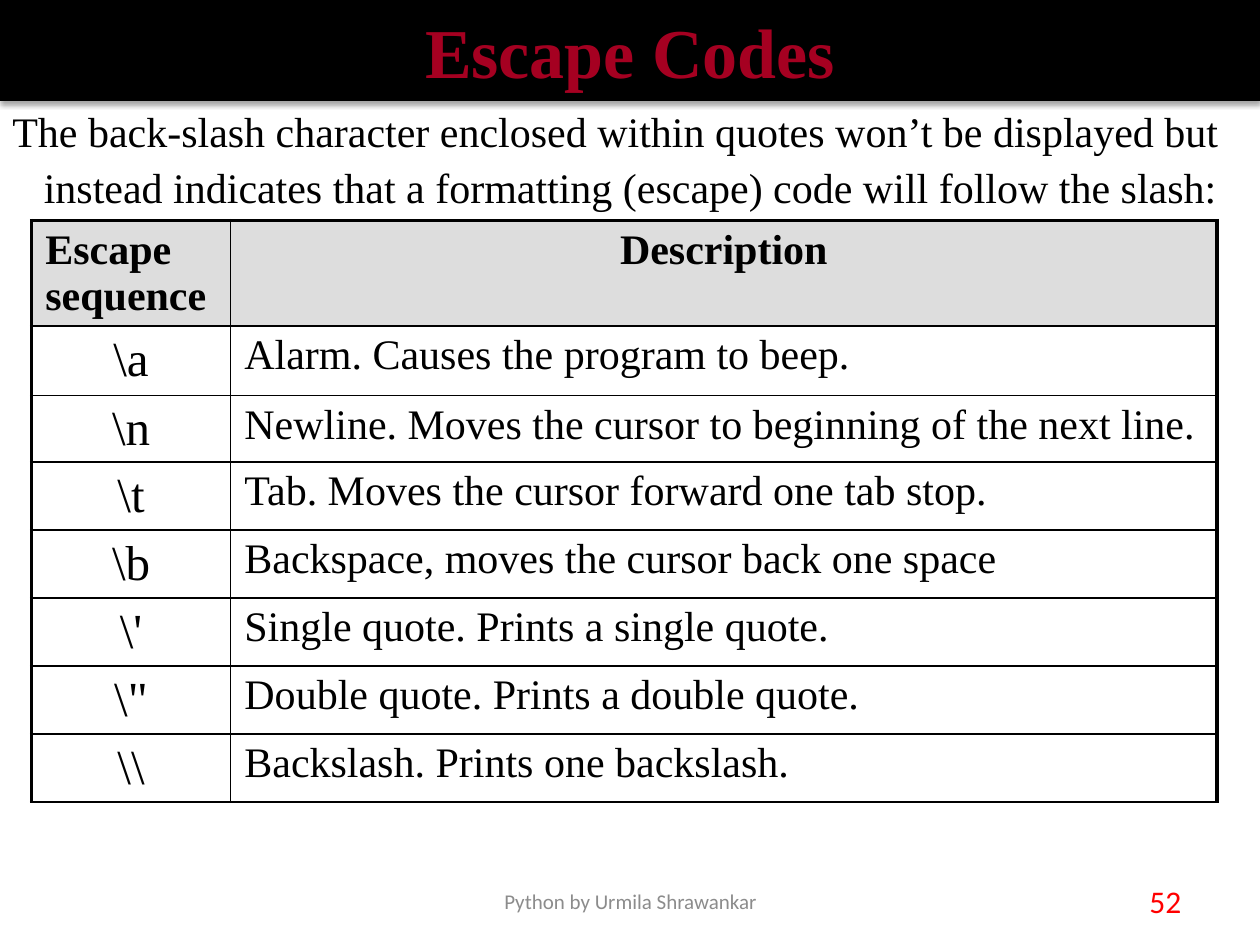
from lxml.etree import SubElement
from pptx import Presentation
from pptx.dml.color import RGBColor
from pptx.enum.text import MSO_ANCHOR, MSO_AUTO_SIZE, PP_ALIGN
from pptx.oxml import parse_xml
from pptx.oxml.ns import nsdecls, qn
from pptx.util import Inches, Pt

BLACK = RGBColor(0x00, 0x00, 0x00)
CRIMSON = RGBColor(0xA5, 0x00, 0x21)
RED = RGBColor(0xFF, 0x00, 0x00)
GRAY = RGBColor(0x8C, 0x8C, 0x8C)
HEADER_GRAY = RGBColor(0xDD, 0xDD, 0xDD)
SERIF = "Times New Roman"
SANS = "Calibri"


def write_text(text_frame, text, name, size, color, bold=False, align=PP_ALIGN.LEFT):
    text_frame.word_wrap = True
    paragraph = text_frame.paragraphs[0]
    paragraph.alignment = align
    run = paragraph.add_run()
    run.text = text
    formats = {"name": name, "size": Pt(size), "bold": bold}
    for attribute, value in formats.items():
        setattr(run.font, attribute, value)
    run.font.color.rgb = color
    return paragraph


def set_borders(cell, widths):
    properties = cell._tc.get_or_add_tcPr()
    for side, width in widths.items():
        line = SubElement(properties, qn(f"a:ln{side}"), w=str(Pt(width)))
        fill = SubElement(line, qn("a:solidFill"))
        SubElement(fill, qn("a:srgbClr"), val=str(BLACK))


presentation = Presentation()
presentation.slide_width = Inches(10)
presentation.slide_height = Inches(7.5)
slide = presentation.slides.add_slide(presentation.slide_layouts[5])

# Title band with a soft shadow
title = slide.shapes.title
placement = {"left": 0, "top": 0, "width": 10, "height": 0.8}
for attribute, value in placement.items():
    setattr(title, attribute, Inches(value))
title.fill.solid()
title.fill.fore_color.rgb = BLACK
title.text_frame.vertical_anchor = MSO_ANCHOR.MIDDLE
title.text_frame.auto_size = MSO_AUTO_SIZE.NONE
write_text(title.text_frame, "Escape Codes", SERIF, 40, CRIMSON, True, PP_ALIGN.CENTER)
title._element.spPr.append(parse_xml(
    f'<a:effectLst {nsdecls("a")}>'
    f'<a:outerShdw blurRad="{Pt(3.1)}" dist="{Pt(1.8)}" dir="5400000" rotWithShape="0">'
    '<a:srgbClr val="000000"><a:alpha val="35000"/></a:srgbClr>'
    '</a:outerShdw></a:effectLst>'))

# Table of escape sequences
rows = [
    ("Escape sequence", "Description"),
    ("\\a", "Alarm. Causes the program to beep."),
    ("\\n", "Newline. Moves the cursor to beginning of the next line."),
    ("\\t", "Tab. Moves the cursor forward one tab stop."),
    ("\\b", "Backspace, moves the cursor back one space"),
    ("\\'", "Single quote. Prints a single quote."),
    ('\\"', "Double quote. Prints a double quote."),
    ("\\\\", "Backslash. Prints one backslash."),
]
table = slide.shapes.add_table(
    len(rows), 2, Inches(0.25), Inches(1.75), Inches(9.41), Inches(4.32)).table
table.first_row = False
table.horz_banding = False
for column, width in zip(table.columns, (1.58, 7.83)):
    column.width = Inches(width)
for row, height in zip(table.rows, [0.55, 0.55, 0.53] + [0.54] * 5):
    row.height = Inches(height)

margins = {"margin_left": 0.11, "margin_right": 0.11, "margin_top": 0.05, "margin_bottom": 0.05}
for row_index, texts in enumerate(rows):
    header = row_index == 0
    for column_index, text in enumerate(texts):
        cell = table.cell(row_index, column_index)
        first_column = column_index == 0
        set_borders(cell, {
            "L": 2.25 if first_column else 1,
            "R": 1 if first_column else 2.25,
            "T": 2.25 if header else 1,
            "B": 1,
        })
        if header:
            cell.fill.solid()
            cell.fill.fore_color.rgb = HEADER_GRAY
        else:
            cell.fill.background()
        for attribute, value in margins.items():
            setattr(cell, attribute, Inches(value))
        # Codes and the description heading are centred
        align = PP_ALIGN.CENTER if header != first_column else PP_ALIGN.LEFT
        size = 28 if first_column and not header else 24
        write_text(cell.text_frame, text, SERIF, size, BLACK, header, align)

# Introduction with a hanging indent
intro = slide.shapes.add_textbox(Inches(0), Inches(0.75), Inches(10), Inches(0.91))
paragraph = write_text(
    intro.text_frame,
    "The back-slash character enclosed within quotes won’t be displayed but "
    "instead indicates that a formatting (escape) code will follow the slash:",
    SERIF, 24, BLACK)
intro.text_frame.auto_size = MSO_AUTO_SIZE.SHAPE_TO_FIT_TEXT
paragraph.line_spacing = 1.1
paragraph_properties = paragraph._p.get_or_add_pPr()
paragraph_properties.set("marL", str(Inches(0.25)))
paragraph_properties.set("indent", str(Inches(-0.25)))

# Footer and slide number
for text, left, width, size, color in (
    ("Python by Urmila Shrawankar", 3.42, 3.17, 12, GRAY),
    ("52", 9, 0.5, 18, RED),
):
    footer = slide.shapes.add_textbox(Inches(left), Inches(6.95), Inches(width), Inches(0.4))
    footer.text_frame.vertical_anchor = MSO_ANCHOR.MIDDLE
    write_text(footer.text_frame, text, SANS, size, color, align=PP_ALIGN.CENTER)

presentation.save("out.pptx")
